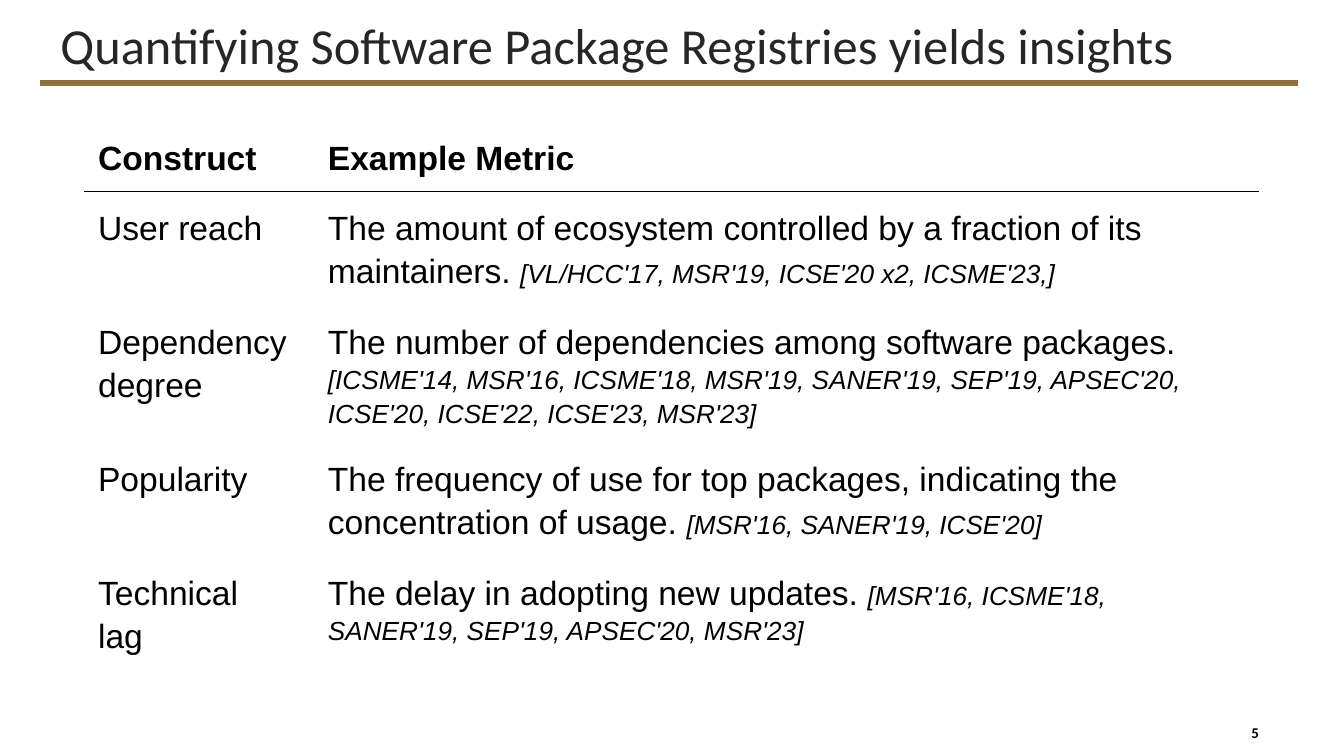
from lxml import etree
from pptx import Presentation
from pptx.dml.color import RGBColor
from pptx.enum.shapes import MSO_CONNECTOR, MSO_SHAPE
from pptx.enum.text import MSO_ANCHOR, MSO_AUTO_SIZE, PP_ALIGN
from pptx.oxml import parse_xml
from pptx.oxml.ns import nsdecls, qn
from pptx.util import Inches, Pt

STRAIGHT = MSO_CONNECTOR.STRAIGHT
OVAL = MSO_SHAPE.OVAL
MIDDLE = MSO_ANCHOR.MIDDLE
NO_FIT = MSO_AUTO_SIZE.NONE
LEFT, CENTER = PP_ALIGN.LEFT, PP_ALIGN.CENTER

SLIDE_WIDTH = Inches(10)
SLIDE_HEIGHT = SLIDE_WIDTH * 9 // 16
BLACK, GOLD, CHARCOAL = "000000", "8E6F3E", "262626"
HEADING = "Quantifying Software Package Registries yields insights"
PAGE = "5"
HEADERS = ("Construct", "Example Metric")
METRICS = [
    ("User reach",
     "The amount of ecosystem controlled by a fraction of its maintainers. ",
     "[VL/HCC'17, MSR'19, ICSE'20 x2, ICSME'23,]"),
    ("Dependency degree",
     "The number of dependencies among software packages. ",
     "[ICSME'14, MSR'16, ICSME'18, MSR'19, SANER'19, SEP'19, APSEC'20, "
     "ICSE'20, ICSE'22, ICSE'23, MSR'23]"),
    ("Popularity",
     "The frequency of use for top packages, indicating the concentration of usage. ",
     "[MSR'16, SANER'19, ICSE'20]"),
    ("Technical\vlag",
     "The delay in adopting new updates. ",
     "[MSR'16, ICSME'18, SANER'19, SEP'19, APSEC'20, MSR'23]"),
]
COLUMN_WIDTHS = (1.71, 7.02)
ROW_HEIGHTS = (0.36, 0.66, 0.96, 0.69, 0.61)


def color(value):
    return RGBColor.from_string(value)


def style(run, size, font="Arial", ink=BLACK, bold=False, italic=False):
    run.font.size = Pt(size)
    run.font.name = font
    run.font.color.rgb = color(ink)
    run.font.bold = bold
    run.font.italic = italic


def set_margins(frame, across, down):
    frame.margin_left = frame.margin_right = Inches(across)
    frame.margin_top = frame.margin_bottom = Inches(down)


def add_rule(cell, side):
    cell._tc.get_or_add_tcPr().insert(0, parse_xml(
        f'<a:{side} {nsdecls("a")} w="{Pt(0.75)}"><a:solidFill>'
        f'<a:srgbClr val="{BLACK}"/></a:solidFill></a:{side}>'))


def fill_cell(cell, text, citation="", bold=False):
    cell.fill.background()
    set_margins(cell, 0.1, 0.1)
    paragraph = cell.text_frame.paragraphs[0]
    paragraph.text = text
    paragraph.line_spacing = 1.15
    for run in paragraph.runs:
        style(run, 18, bold=bold)
    if citation:
        source = paragraph.add_run()
        source.text = citation
        style(source, 14, italic=True)


def add_heading(slide):
    title = slide.shapes.title
    title.left, title.top = Inches(0.3), Inches(0.1)
    title.width, title.height = Inches(8.8), Inches(0.52)
    frame = title.text_frame
    frame.text = HEADING
    frame.auto_size = NO_FIT
    frame.vertical_anchor = MIDDLE
    set_margins(frame, 0.15, 0.15)
    paragraph = frame.paragraphs[0]
    paragraph.alignment = LEFT
    paragraph.line_spacing = 0.9
    style(paragraph.runs[0], 27, "Calibri", CHARCOAL)

    underline = slide.shapes.add_connector(
        STRAIGHT, Inches(0.3), Inches(0.62), Inches(9.66), Inches(0.62))
    underline.line.color.rgb = color(GOLD)
    underline.line.width = Pt(3)
    etree.SubElement(underline._element.spPr, qn("a:effectLst"))


def add_page_number(slide):
    badge = slide.shapes.add_shape(
        OVAL, Inches(9.14), Inches(5.3), Inches(0.4), Inches(0.3))
    badge.shadow.inherit = False
    badge.fill.background()
    badge.line.fill.background()
    frame = badge.text_frame
    frame.text = PAGE
    frame.vertical_anchor = MIDDLE
    set_margins(frame, 0.01, 0.04)
    frame.paragraphs[0].alignment = CENTER
    style(frame.paragraphs[0].runs[0], 8, "Calibri", bold=True)


def add_metrics(slide):
    table = slide.shapes.add_table(
        len(ROW_HEIGHTS), len(COLUMN_WIDTHS), Inches(0.63), Inches(0.9),
        Inches(sum(COLUMN_WIDTHS)), Inches(sum(ROW_HEIGHTS))).table
    table.first_row = table.horz_banding = False
    for column, width in zip(table.columns, COLUMN_WIDTHS):
        column.width = Inches(width)
    for row, height in zip(table.rows, ROW_HEIGHTS):
        row.height = Inches(height)
    for index, header in enumerate(HEADERS):
        fill_cell(table.cell(0, index), header, bold=True)
        add_rule(table.cell(0, index), "lnB")
        add_rule(table.cell(1, index), "lnT")
    for index, (construct, metric, citation) in enumerate(METRICS, 1):
        fill_cell(table.cell(index, 0), construct)
        fill_cell(table.cell(index, 1), metric, citation)


def main():
    deck = Presentation()
    deck.slide_width, deck.slide_height = SLIDE_WIDTH, SLIDE_HEIGHT
    slide = deck.slides.add_slide(deck.slide_layouts[5])
    add_heading(slide)
    add_page_number(slide)
    add_metrics(slide)
    deck.save("out.pptx")


if __name__ == "__main__":
    main()
